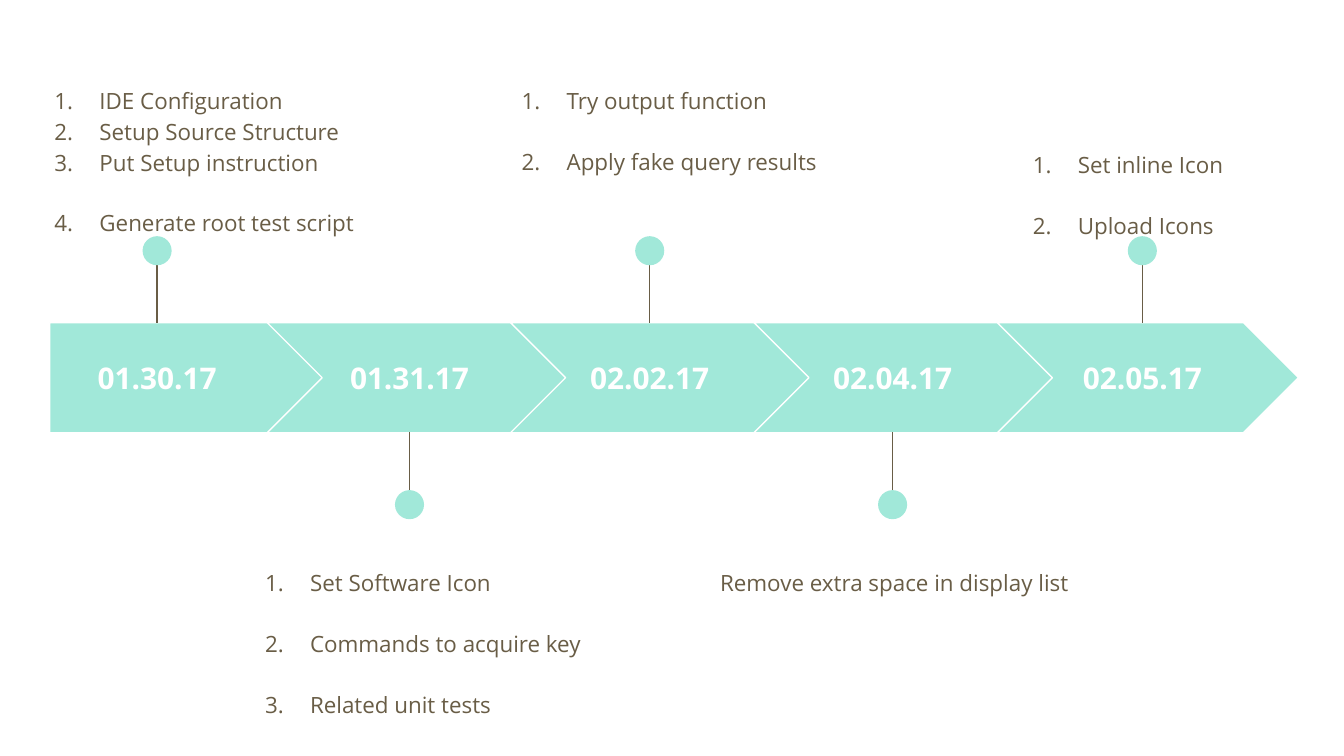
"""Build a five-step project timeline slide."""
from dataclasses import dataclass

import pptx
import pptx.dml.color
import pptx.enum.shapes
import pptx.enum.text
import pptx.oxml.ns
import pptx.oxml.xmlchemy
import pptx.presentation
import pptx.shapes.autoshape
import pptx.slide
import pptx.text.text
import pptx.util

Cm = pptx.util.Cm
Pt = pptx.util.Pt
Shapes = pptx.enum.shapes.MSO_SHAPE
qn = pptx.oxml.ns.qn
new_element = pptx.oxml.xmlchemy.OxmlElement

COLORS = {"mint": "A1E8D9", "brown": "695D46", "white": "FFFFFF"}
FONT = "Open Sans"

BAND_LEFT, BAND_TOP, BAND_HEIGHT = 0.94, 6.1, 2.08
BAND_MIDDLE = BAND_TOP + BAND_HEIGHT / 2
FIRST_WIDTH = 5.21
CHEVRON_LEFT, CHEVRON_WIDTH, CHEVRON_STEP = 5.05, 5.69, 4.6
DATE_WIDTH, DATE_HEIGHT = 3.8, 1.3
DOT_SIZE, DOT_OFFSET, STEM_OFFSET = 0.55, 2.4, 1.03


@dataclass(frozen=True)
class Milestone:
    """One date with its pin and tasks; lengths are in centimetres."""
    date: str
    axis: float
    side: int  # -1 places the pin above the band, 1 below
    tasks_box: tuple[float, float, float, float]
    tasks: tuple[str, ...]
    tight: int = 0  # leading tasks without space after
    numbered: bool = True


MILESTONES = (
    Milestone("01.30.17", 2.97, -1, (0.36, 1.32, 6.71, 2.77),
              ("IDE Configuration", "Setup Source Structure",
               "Put Setup instruction", "Generate root test script"), tight=2),
    Milestone("01.31.17", 7.74, 1, (4.34, 10.44, 7.11, 2.51),
              ("Set Software Icon", "Commands to acquire key", "Related unit tests")),
    Milestone("02.02.17", 12.28, -1, (9.19, 1.32, 6.58, 1.65),
              ("Try output function", "Apply fake query results")),
    Milestone("02.04.17", 16.87, 1, (13.36, 10.44, 7.44, 2.51),
              ("Remove extra space in display list",), numbered=False),
    Milestone("02.05.17", 21.59, -1, (18.85, 2.54, 5.21, 1.3),
              ("Set inline Icon", "Upload Icons")),
)


def rgb(name: str) -> pptx.dml.color.RGBColor:
    """Look up a palette colour."""
    return pptx.dml.color.RGBColor.from_string(COLORS[name])


def add_mint_shape(slide: pptx.slide.Slide, kind: Shapes, left: float, top: float,
                   width: float, height: float) -> pptx.shapes.autoshape.Shape:
    """Add a flat mint shape without an outline."""
    shape = slide.shapes.add_shape(kind, Cm(left), Cm(top), Cm(width), Cm(height))
    shape.shadow.inherit = False
    shape.fill.solid()
    shape.fill.fore_color.rgb = rgb("mint")
    shape.line.fill.background()
    return shape


def add_text_frame(slide: pptx.slide.Slide, left: float, top: float,
                   width: float, height: float) -> pptx.text.text.TextFrame:
    """Add a wrapping text box with even insets."""
    frame = slide.shapes.add_textbox(Cm(left), Cm(top), Cm(width), Cm(height)).text_frame
    frame.word_wrap = True
    frame.margin_left = frame.margin_right = Cm(0.25)
    frame.margin_top = frame.margin_bottom = Cm(0.25)
    return frame


def add_run(paragraph: pptx.text.text._Paragraph, text: str, size: int, color: str,
            bold: bool = False) -> None:
    """Append one formatted run."""
    run = paragraph.add_run()
    run.text = text
    run.font.name = FONT
    run.font.size = Pt(size)
    run.font.bold = bold
    run.font.color.rgb = rgb(color)


def number_paragraph(paragraph: pptx.text.text._Paragraph) -> None:
    """Give a paragraph a hanging indent and a brown automatic number."""
    properties = paragraph._p.get_or_add_pPr()
    properties.set("marL", str(Cm(1.27)))
    properties.set("indent", str(Cm(-0.85)))
    bullet_color = new_element("a:buClr")
    value = new_element("a:srgbClr")
    value.set("val", COLORS["brown"])
    bullet_color.append(value)
    numbering = new_element("a:buAutoNum")
    numbering.set("type", "arabicPeriod")
    properties.extend((bullet_color, numbering))


def draw_band_part(slide: pptx.slide.Slide, index: int) -> None:
    """Draw the arrow segment of a milestone."""
    if index == 0:
        kind, left, width = Shapes.PENTAGON, BAND_LEFT, FIRST_WIDTH
    else:
        kind, width = Shapes.CHEVRON, CHEVRON_WIDTH
        left = CHEVRON_LEFT + (index - 1) * CHEVRON_STEP
    segment = add_mint_shape(slide, kind, left, BAND_TOP, width, BAND_HEIGHT)
    segment.adjustments[0] = 0.5
    segment.line.color.rgb = rgb("white")
    segment.line.width = Pt(0.75)


def draw_date(slide: pptx.slide.Slide, milestone: Milestone) -> None:
    """Write the date centred on the milestone's axis."""
    frame = add_text_frame(slide, milestone.axis - DATE_WIDTH / 2,
                           BAND_MIDDLE - DATE_HEIGHT / 2, DATE_WIDTH, DATE_HEIGHT)
    frame.vertical_anchor = pptx.enum.text.MSO_ANCHOR.MIDDLE
    frame.paragraphs[0].alignment = pptx.enum.text.PP_ALIGN.CENTER
    add_run(frame.paragraphs[0], milestone.date, 16, "white", bold=True)


def draw_pin(slide: pptx.slide.Slide, milestone: Milestone) -> None:
    """Draw the stem and its dot above or below the band."""
    dot_middle = BAND_MIDDLE + milestone.side * DOT_OFFSET
    stem = slide.shapes.add_connector(
        pptx.enum.shapes.MSO_CONNECTOR.STRAIGHT, Cm(milestone.axis), Cm(dot_middle),
        Cm(milestone.axis), Cm(BAND_MIDDLE + milestone.side * STEM_OFFSET))
    stem.line.color.rgb = rgb("brown")
    stem.line.width = Pt(0.75)
    stem._element.find(qn("p:spPr")).append(new_element("a:effectLst"))
    add_mint_shape(slide, Shapes.OVAL, milestone.axis - DOT_SIZE / 2,
                   dot_middle - DOT_SIZE / 2, DOT_SIZE, DOT_SIZE)


def draw_tasks(slide: pptx.slide.Slide, milestone: Milestone) -> None:
    """Write the milestone's tasks."""
    frame = add_text_frame(slide, *milestone.tasks_box)
    for index, task in enumerate(milestone.tasks):
        paragraph = frame.add_paragraph() if index else frame.paragraphs[0]
        paragraph.line_spacing = 1.15
        paragraph.space_after = Pt(0 if index < milestone.tight else 16)
        if milestone.numbered:
            number_paragraph(paragraph)
        add_run(paragraph, task, 12, "brown")


def build() -> pptx.presentation.Presentation:
    """Assemble the timeline."""
    deck = pptx.Presentation()
    deck.slide_width, deck.slide_height = Cm(25.4), Cm(14.29)
    slide = deck.slides.add_slide(deck.slide_layouts[6])
    for index, milestone in enumerate(MILESTONES):
        draw_band_part(slide, index)
        draw_date(slide, milestone)
        draw_pin(slide, milestone)
        draw_tasks(slide, milestone)
    return deck


build().save("out.pptx")
